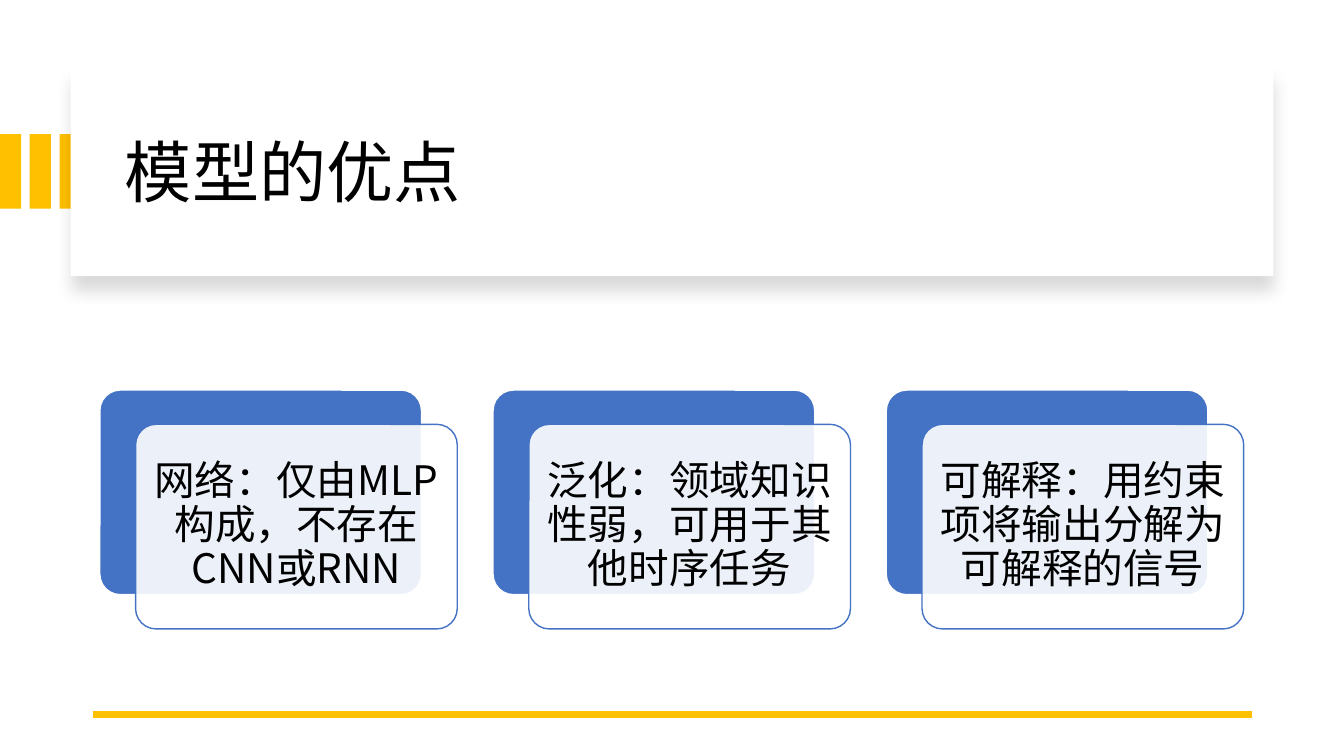
"""Build a slide with a title banner and three overlapping advantage cards."""
from lxml.etree import SubElement
from pptx import Presentation
from pptx.dml.color import RGBColor
from pptx.enum.shapes import MSO_CONNECTOR, MSO_SHAPE
from pptx.enum.text import MSO_ANCHOR, PP_ALIGN
from pptx.oxml import parse_xml
from pptx.oxml.ns import nsdecls, qn
from pptx.util import Inches, Pt

TITLE = "模型的优点"
CARDS = [
    "网络：仅由MLP构成，不存在CNN或RNN",
    "泛化：领域知识性弱，可用于其他时序任务",
    "可解释：用约束项将输出分解为可解释的信号",
]
FONT = "Noto Sans CJK SC"
GOLD, BLUE, WHITE, BLACK = "FFC000", "4472C4", "FFFFFF", "000000"
BAR_GAP = 0.295
CARD_LEFT, CARD_TOP, CARD_STEP = 0.99, 3.87, 3.9
CARD_W, CARD_H = 3.19, 2.03
SHIFT_X, SHIFT_Y, INSET = 0.355, 0.34, 0.06

deck = Presentation()
deck.slide_width, deck.slide_height = Inches(13.33), Inches(7.5)
slide = deck.slides.add_slide(deck.slide_layouts[6])


def color(code):
    return RGBColor.from_string(code)


def add_box(x, y, w, h, fill, line=None, kind=MSO_SHAPE.RECTANGLE, alpha=None):
    box = slide.shapes.add_shape(kind, Inches(x), Inches(y), Inches(w), Inches(h))
    box.shadow.inherit = False
    box.fill.solid()
    box.fill.fore_color.rgb = color(fill)
    if line:
        box.line.color.rgb = color(line)
        box.line.width = Pt(1)
    else:
        box.line.fill.background()
    if kind == MSO_SHAPE.ROUNDED_RECTANGLE:
        box.adjustments[0] = 0.1
    if alpha:
        tone = box.fill._xPr.find(qn("a:solidFill"))[0]
        SubElement(tone, qn("a:alpha"), val=str(alpha * 1000))
    return box


def add_text(text, x, y, w, h, size, align=PP_ALIGN.LEFT, pad=(0.1, 0.05)):
    frame = slide.shapes.add_textbox(
        Inches(x), Inches(y), Inches(w), Inches(h)).text_frame
    frame.word_wrap = True
    frame.vertical_anchor = MSO_ANCHOR.MIDDLE
    frame.margin_left = frame.margin_right = Inches(pad[0])
    frame.margin_top = frame.margin_bottom = Inches(pad[1])
    para = frame.paragraphs[0]
    para.alignment = align
    para.line_spacing = 0.9
    run = para.add_run()
    run.text = text
    run.font.size = Pt(size)
    run.font.name = FONT
    run.font.color.rgb = color(BLACK)
    SubElement(run.font._element, qn("a:ea"), typeface=FONT)


for i in range(3):
    add_box(i * BAR_GAP, 1.33, 0.21, 0.74, GOLD)

banner = add_box(0.7, 0.67, 11.93, 2.07, WHITE)
glow = banner._element.spPr.find(qn("a:effectLst"))
glow.append(parse_xml(
    f'<a:outerShdw {nsdecls("a")} blurRad="{Pt(11)}" dist="{Pt(10)}" '
    f'dir="5400000" algn="t" rotWithShape="0"><a:srgbClr val="{BLACK}">'
    '<a:alpha val="15000"/></a:srgbClr></a:outerShdw>'))
add_text(TITLE, 1.14, 0.89, 11.13, 1.7, 48)

rule = slide.shapes.add_connector(
    MSO_CONNECTOR.STRAIGHT, Inches(12.42), Inches(7.09), Inches(0.92), Inches(7.09))
rule.line.color.rgb = color(GOLD)
rule.line.width = Pt(4.5)
SubElement(rule._element.spPr, qn("a:effectLst"))

for i, text in enumerate(CARDS):
    x = CARD_LEFT + i * CARD_STEP
    left, top = x + SHIFT_X, CARD_TOP + SHIFT_Y
    add_box(x, CARD_TOP, CARD_W, CARD_H, BLUE, WHITE, MSO_SHAPE.ROUNDED_RECTANGLE)
    add_box(left, top, CARD_W, CARD_H, WHITE, BLUE,
            MSO_SHAPE.ROUNDED_RECTANGLE, alpha=90)
    add_text(text, left + INSET, top + INSET, CARD_W - 2 * INSET,
             CARD_H - 2 * INSET, 29, PP_ALIGN.CENTER, (0.12, 0.12))

deck.save("out.pptx")
